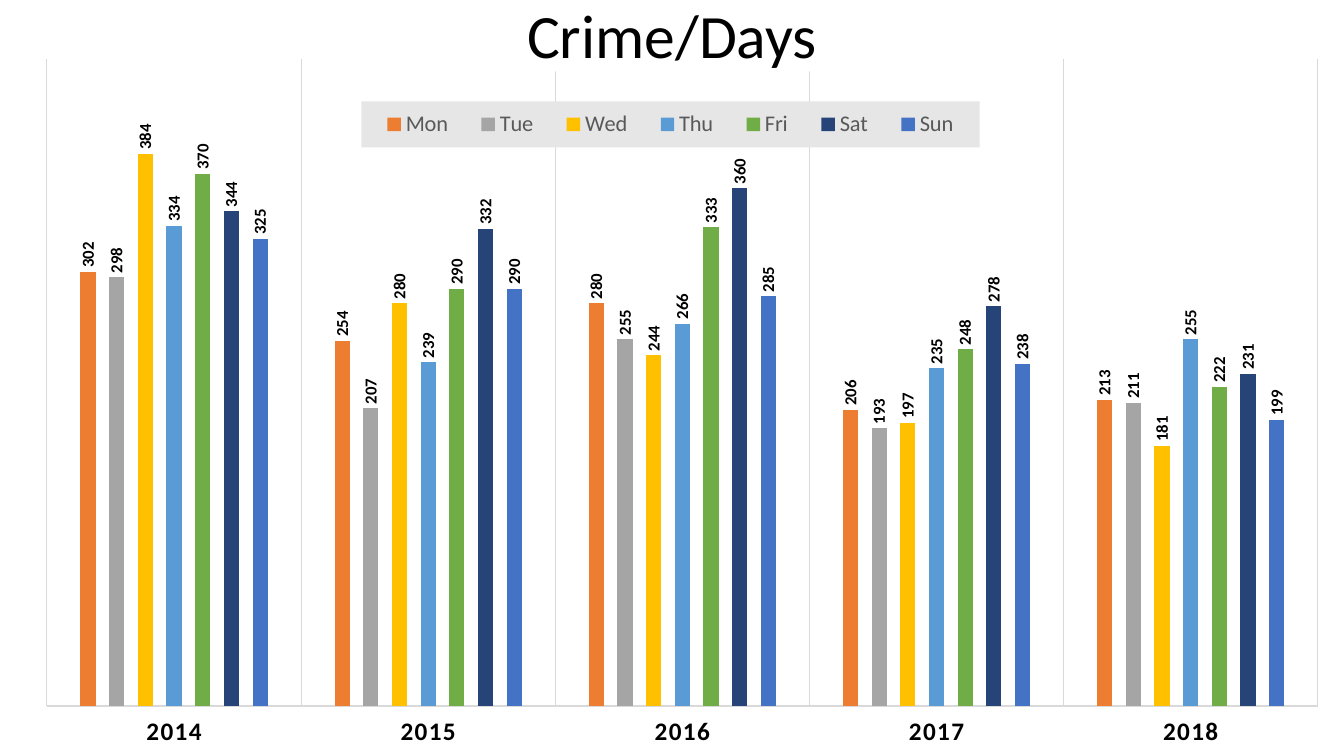
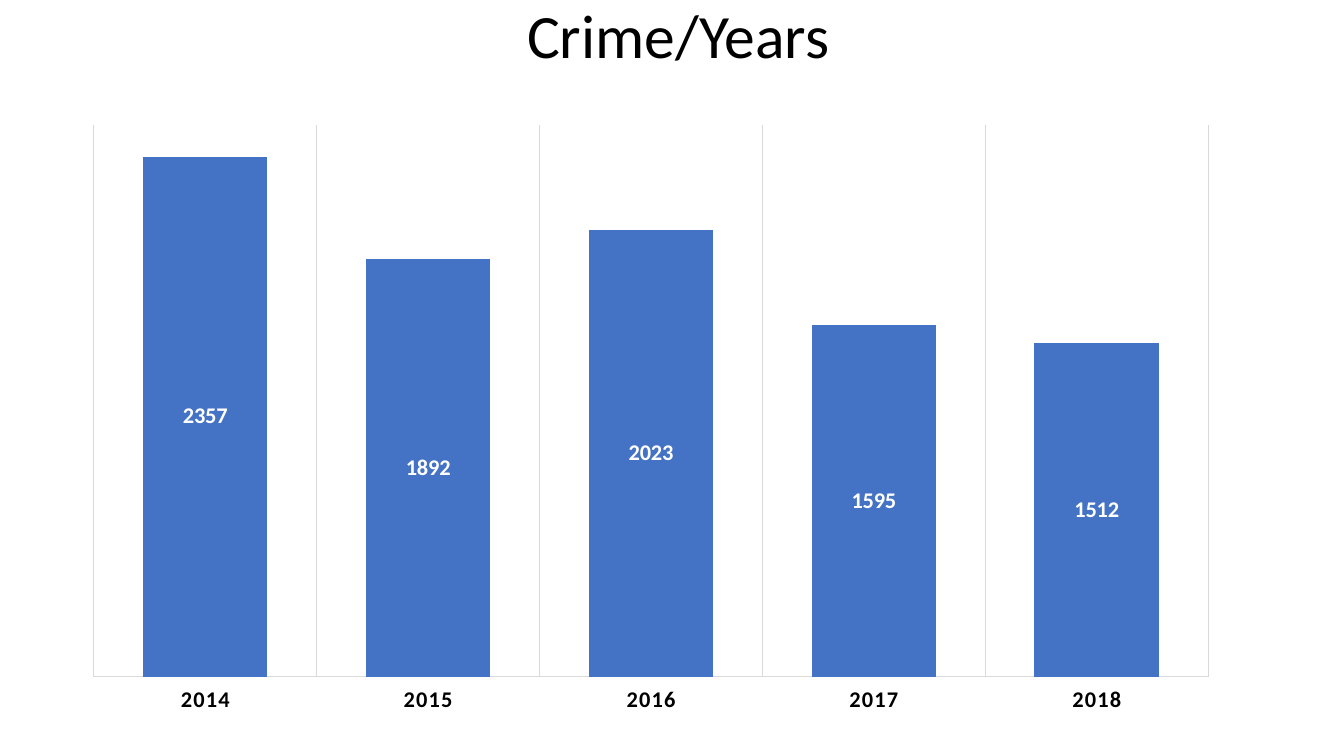
from lxml import etree
from pptx import Presentation
from pptx.chart.data import CategoryChartData as Data
from pptx.dml.color import RGBColor
from pptx.enum.chart import XL_CHART_TYPE as Kind
from pptx.enum.chart import XL_LABEL_POSITION as Place
from pptx.enum.chart import XL_LEGEND_POSITION as Side
from pptx.enum.chart import XL_TICK_LABEL_POSITION as Tick
from pptx.enum.chart import XL_TICK_MARK as Mark
from pptx.enum.shapes import MSO_SHAPE as Form
from pptx.enum.text import MSO_ANCHOR as Anchor
from pptx.enum.text import PP_ALIGN as Align
from pptx.oxml import parse_xml
from pptx.oxml.ns import nsdecls, qn
from pptx.util import Inches, Pt

FACE = "Calibri"
BLACK, WHITE, GREY = "000000", "FFFFFF", "595959"
RULE, PANEL, BLUE = "D9D9D9", "E7E6E6", "4472C4"

YEARS = ["2014", "2015", "2016", "2017", "2018"]
DAYS = [
    ("Mon", "ED7D31", [302, 254, 280, 206, 213]),
    ("Tue", "A5A5A5", [298, 207, 255, 193, 211]),
    ("Wed", "FFC000", [384, 280, 244, 197, 181]),
    ("Thu", "5B9BD5", [334, 239, 266, 235, 255]),
    ("Fri", "70AD47", [370, 290, 333, 248, 222]),
    ("Sat", "264478", [344, 332, 360, 278, 231]),
    ("Sun", BLUE, [325, 290, 285, 238, 199]),
]
TOTALS = [("Series 1", BLUE, [2357, 1892, 2023, 1595, 1512])]


def paint(item, tone):
    """Give a fill or a line one solid colour."""
    item.solid()
    item.fore_color.rgb = RGBColor.from_string(tone)


def style(font, size, tone=BLACK, bold=False):
    form = {"name": FACE, "size": Pt(size), "bold": bold}
    for key, value in form.items():
        setattr(font, key, value)
    font.color.rgb = RGBColor.from_string(tone)


def rule(line):
    paint(line.fill, RULE)
    line.width = Pt(0.75)


def frame(x, y, w, h, inner=False):
    """Return a manual layout in shares of the chart's size."""
    node = parse_xml(f"<c:layout {nsdecls('c')}><c:manualLayout/></c:layout>")
    parts = {"layoutTarget": "inner"} if inner else {}
    parts |= {"xMode": "edge", "yMode": "edge", "x": x, "y": y, "w": w, "h": h}
    for tag, value in parts.items():
        etree.SubElement(node[0], qn(f"c:{tag}")).set("val", str(value))
    return node


def set_axes(chart, top, size):
    axis = chart.category_axis
    axis.major_tick_mark = axis.minor_tick_mark = Mark.NONE
    axis.tick_label_position = Tick.LOW
    axis.has_major_gridlines = True
    rule(axis.format.line)
    rule(axis.major_gridlines.format.line)
    font = axis.tick_labels.font
    style(font, size, bold=True)
    font._rPr.set("spc", "100")
    scale = chart.value_axis
    form = {"minimum_scale": 0, "maximum_scale": top,
            "has_major_gridlines": False, "visible": False}
    for key, value in form.items():
        setattr(scale, key, value)


def set_bars(series, fill, size, tone, place, turn):
    paint(series.format.fill, fill)
    tags = series.data_labels
    tags.show_value = True
    tags.position = place
    style(tags.font, size, tone, True)
    if turn:
        body = tags._element.find(".//" + qn("a:bodyPr"))
        body.set("rot", str(turn * 60000))
        body.set("vert", "horz")


def add_bars(slide, box, kind, rows, gap, lap, top, plot, axis, tag):
    """Draw a column chart in box; tag holds the data label format."""
    data = Data()
    data.categories = YEARS
    for name, _, values in rows:
        data.add_series(name, values)
    chart = slide.shapes.add_chart(kind, *map(Inches, box), data).chart
    chart.has_title = chart.has_legend = False
    style(chart.font, 10)
    bars = chart.plots[0]
    for key, value in {"gap_width": gap, "overlap": lap,
                       "vary_by_categories": False}.items():
        setattr(bars, key, value)
    set_axes(chart, top, axis)
    for series, (_, fill, _) in zip(bars.series, rows):
        set_bars(series, fill, **tag)
    area = chart.element.find(".//" + qn("c:plotArea"))
    for old in area.findall(qn("c:layout")):
        area.remove(old)
    area.insert(0, frame(*plot, inner=True))
    return chart


def add_key(chart, box):
    """Put a legend on a grey panel at box, in shares of the chart."""
    chart.has_legend = True
    key = chart.legend
    key.position = Side.TOP
    key.include_in_layout = False
    style(key.font, 16, GREY)
    node = key._element
    node.find(qn("c:legendPos")).addnext(frame(*box))
    node.find(qn("c:txPr")).addprevious(parse_xml(
        f"<c:spPr {nsdecls('c', 'a')}><a:solidFill>"
        f'<a:srgbClr val="{PANEL}"/></a:solidFill></c:spPr>'))


def add_title(slide, text, width):
    box = map(Inches, (5.13, 0.05, width, 0.66))
    shape = slide.shapes.add_shape(Form.RECTANGLE, *box)
    shape.shadow.inherit = False
    paint(shape.fill, WHITE)
    shape.line.fill.background()
    body = shape.text_frame
    body.word_wrap = False
    body.vertical_anchor = Anchor.MIDDLE
    para = body.paragraphs[0]
    para.alignment = Align.LEFT
    para.line_spacing = 0.9
    run = para.add_run()
    run.text = text
    style(run.font, 44)


def show_days(slide):
    tag = {"size": 12, "tone": BLACK, "place": Place.OUTSIDE_END, "turn": -90}
    chart = add_bars(slide, (0.21, 0, 13.13, 7.5), Kind.COLUMN_CLUSTERED,
                     DAYS, 444, -90, 450, (0.0195, 0.078, 0.96, 0.856), 18, tag)
    add_key(chart, (0.257, 0.134, 0.467, 0.061))
    add_title(slide, "Crime/Days", 3.08)


def show_years(slide):
    tag = {"size": 16, "tone": WHITE, "place": Place.CENTER, "turn": 0}
    add_bars(slide, (0.76, 1.02, 11.36, 6.13), Kind.COLUMN_STACKED,
             TOTALS, 79, 100, 2500, (0.015, 0.036, 0.973, 0.893), 16, tag)
    add_title(slide, "Crime/Years", 3.21)


def main():
    deck = Presentation()
    deck.slide_width, deck.slide_height = Inches(13.33), Inches(7.5)
    for show in (show_days, show_years):
        show(deck.slides.add_slide(deck.slide_layouts[6]))
    deck.save("out.pptx")


if __name__ == "__main__":
    main()
